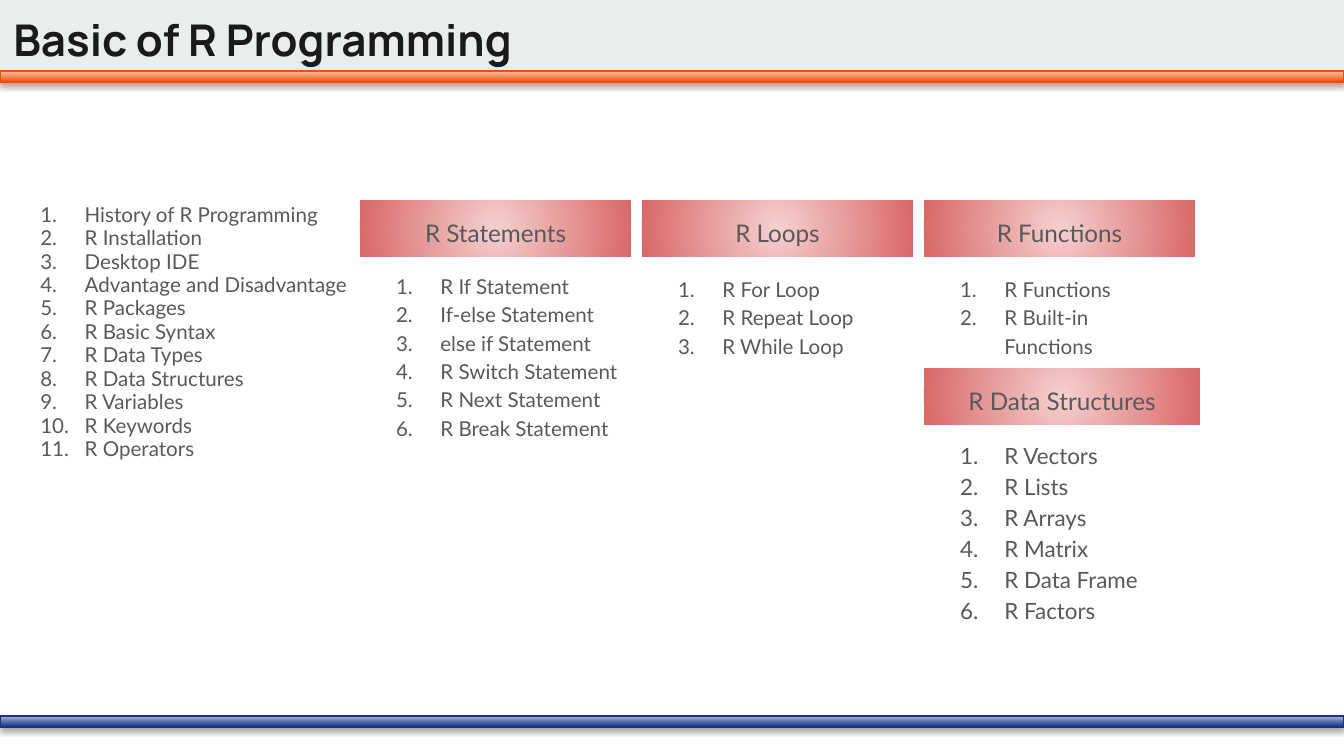
"""Build the slide listing the basic topics of R programming."""
from lxml import etree
from pptx import Presentation, util as u
from pptx.dml.color import RGBColor
from pptx.enum import shapes, text
from pptx.oxml import ns

PX = 914400 / 134.4
GREY = RGBColor(0x59, 0x59, 0x59)
INK = RGBColor(0x1A, 0x1A, 0x1A)
PALE = RGBColor(0xE9, 0xED, 0xEE)
PINK = RGBColor(0xF5, 0xD0, 0xD0)
RED = RGBColor(0xD9, 0x68, 0x68)
BARS = [
    (71, RGBColor(0xEB, 0x56, 0x00), RGBColor(0xFF, 0xBC, 0xB3), RGBColor(0xE6, 0x54, 0x00)),
    (716, RGBColor(0x0E, 0x30, 0x86), RGBColor(0xAD, 0xB3, 0xDB), RGBColor(0x19, 0x34, 0x78)),
]
BASICS = ["History of R Programming", "R Installation", "Desktop IDE",
          "Advantage and Disadvantage", "R Packages", "R Basic Syntax",
          "R Data Types", "R Data Structures", "R Variables", "R Keywords",
          "R Operators"]
GROUPS = [
    (360, 200, 271, 257, 195, 11, "R Statements",
     ["R If Statement", "If-else Statement", "else if Statement",
      "R Switch Statement", "R Next Statement", "R Break Statement"]),
    (642, 200, 271, 260, 109, 11, "R Loops",
     ["R For Loop", "R Repeat Loop", "R While Loop"]),
    (924, 200, 271, 260, 81, 11, "R Functions",
     ["R Functions", "R Built-in Functions"]),
    (924, 368, 276, 425, 211, 12, "R Data Structures",
     ["R Vectors", "R Lists", "R Arrays", "R Matrix", "R Data Frame",
      "R Factors"]),
]
MAIN = "http://schemas.openxmlformats.org/drawingml/2006/main"
SHADE = (f'<a:outerShdw xmlns:a="{MAIN}" blurRad="39370" dist="22860" dir="5400000" '
         'rotWithShape="0"><a:srgbClr val="000000"><a:alpha val="35000"/></a:srgbClr>'
         '</a:outerShdw>')
FOCUS = (f'<a:path xmlns:a="{MAIN}" path="circle"><a:fillToRect l="50000" t="50000" '
         'r="50000" b="50000"/></a:path>')


def block(left, top, width, height, *tones):
    box = page.shapes.add_shape(shapes.MSO_SHAPE.RECTANGLE, *px(left, top, width, height))
    box.shadow.inherit = False
    box.line.fill.background()
    if len(tones) == 1:
        box.fill.solid()
        box.fill.fore_color.rgb = tones[0]
    else:
        box.fill.gradient()
        box.fill.gradient_angle = 90
        for stop, tone in zip(box.fill.gradient_stops, tones):
            stop.color.rgb = tone
    return box


def write(box, lines, size, gap, listed=True):
    frame = box.text_frame
    frame.word_wrap = True
    frame.margin_left = frame.margin_right = u.Inches(0.1)
    frame.margin_top = frame.margin_bottom = u.Inches(0.1)
    frame.vertical_anchor = text.MSO_ANCHOR.TOP
    frame.text = "\n".join(lines)
    for para in frame.paragraphs:
        para.line_spacing = gap
        para.space_before = u.Pt(0)
        if listed:
            props = para._p.get_or_add_pPr()
            props.set("marL", str(u.Inches(0.5)))
            props.set("indent", str(u.Inches(-0.33)))
            tint = etree.SubElement(props, ns.qn("a:buClr"))
            etree.SubElement(tint, ns.qn("a:srgbClr"), val=str(GREY))
            etree.SubElement(props, ns.qn("a:buFont"), typeface="Lato")
            etree.SubElement(props, ns.qn("a:buAutoNum"), type="arabicPeriod")
        for run in para.runs:
            run.font.name = "Lato"
            run.font.size = u.Pt(size)
            run.font.color.rgb = GREY
    return frame


px = lambda *sides: [round(side * PX) for side in sides]
deck = Presentation()
deck.slide_width, deck.slide_height = px(1344, 756)
page = deck.slides.add_slide(deck.slide_layouts[1])
title, body = page.placeholders

band = block(0, 0, 1344, 71, PALE)
tree = page.shapes._spTree
tree.remove(band._element)
tree.insert(2, band._element)

for top, dark, light, edge in BARS:
    bar = block(0, top, 1344, 11, dark, light)
    bar.line.color.rgb = edge
    bar.line.width = u.Pt(0.75)
    bar._element.spPr.find(ns.qn("a:effectLst")).append(etree.fromstring(SHADE))

title.left, title.top, title.width, title.height = px(0, 0, 1329, 79)
head = write(title, ["Basic of R Programming"], 23.4, 1, False)
head.vertical_anchor = text.MSO_ANCHOR.MIDDLE
head.paragraphs[0].alignment = text.PP_ALIGN.LEFT
font = head.paragraphs[0].runs[0].font
font.name = "Manrope"
font.bold = True
font.color.rgb = INK

body.left, body.top, body.width, body.height = px(4, 190, 371, 388)
write(body, BASICS, 11, 0.95)

for left, top, width, start, height, size, name, items in GROUPS:
    label = block(left, top, width, 57, PINK, RED)
    grad = label._element.spPr.find(ns.qn("a:gradFill"))
    grad.replace(grad.find(ns.qn("a:lin")), etree.fromstring(FOCUS))
    para = write(label, [name], 13, 1.15, False).paragraphs[0]
    para.alignment = text.PP_ALIGN.CENTER
    para.space_after = u.Pt(12)
    note = page.shapes.add_textbox(*px(left, start, width, height))
    write(note, items, size, 1.15)

deck.save("out.pptx")
